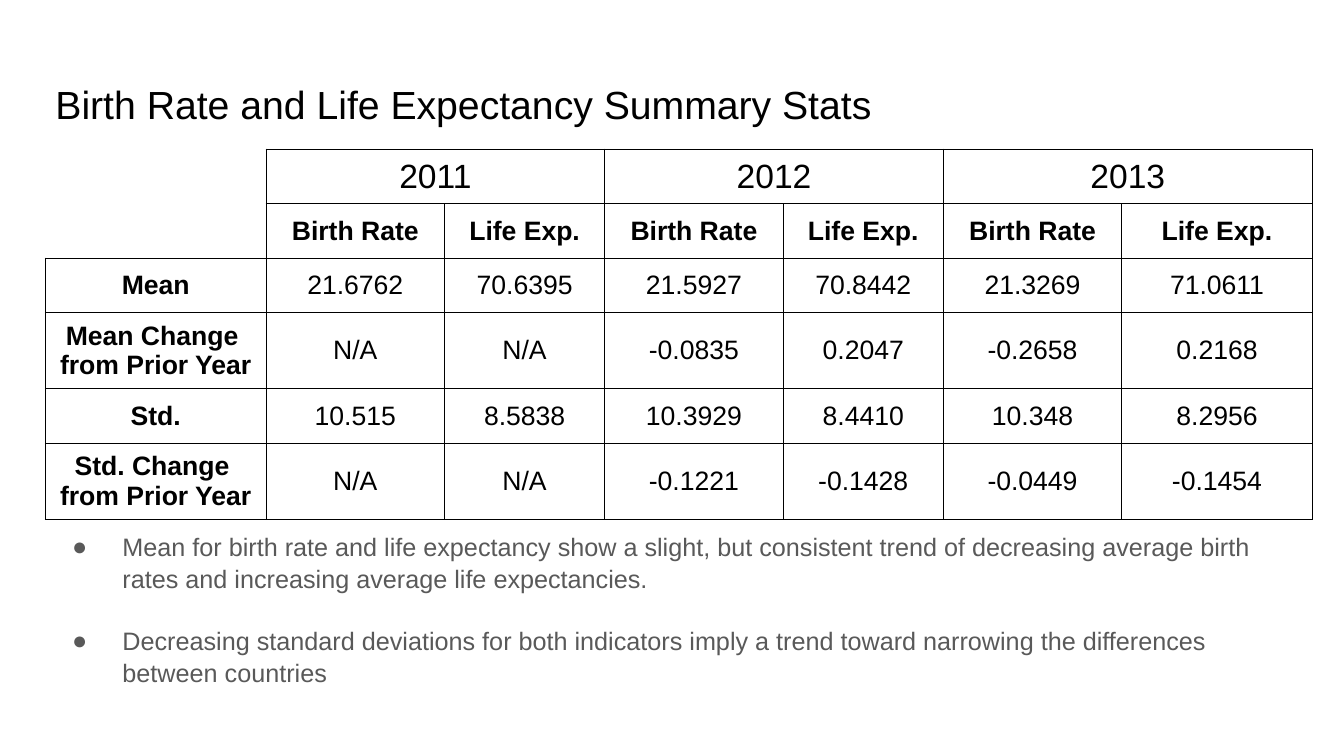
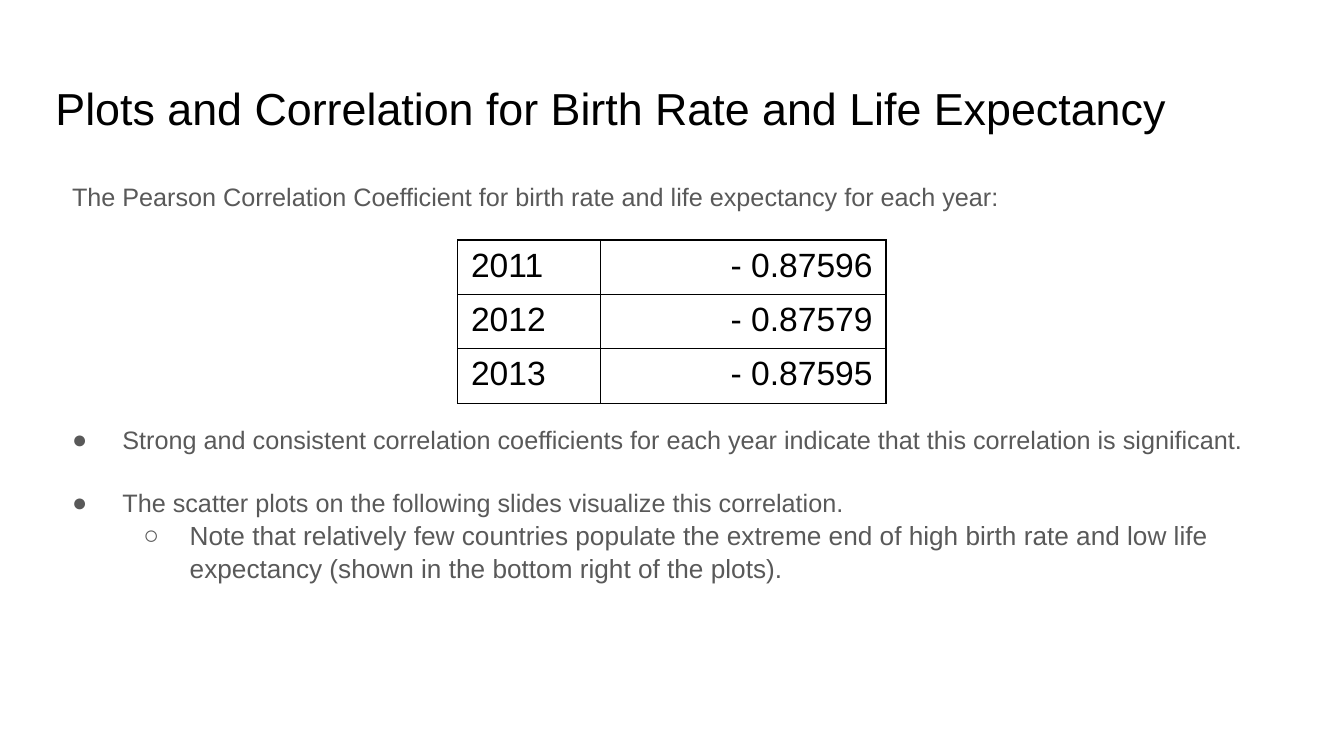
from lxml import etree
from pptx import Presentation
from pptx.dml.color import RGBColor
from pptx.enum.text import MSO_ANCHOR, MSO_AUTO_SIZE, PP_ALIGN
from pptx.oxml.ns import qn
from pptx.util import Pt

TOP, MID = MSO_ANCHOR.TOP, MSO_ANCHOR.MIDDLE
LEFT, MID_X, RIGHT = PP_ALIGN.LEFT, PP_ALIGN.CENTER, PP_ALIGN.RIGHT
FIXED = MSO_AUTO_SIZE.NONE

# Content
STATS = {
    "title": "Birth Rate and Life Expectancy Summary Stats",
    "years": ["2011", "2012", "2013"],
    "heads": ["Birth Rate", "Life Exp."],
    "rows": [
        ("Mean", "21.6762", "70.6395", "21.5927", "70.8442", "21.3269", "71.0611"),
        ("Mean Change \nfrom Prior Year",
         "N/A", "N/A", "-0.0835", "0.2047", "-0.2658", "0.2168"),
        ("Std.", "10.515", "8.5838", "10.3929", "8.4410", "10.348", "8.2956"),
        ("Std. Change \nfrom Prior Year",
         "N/A", "N/A", "-0.1221", "-0.1428", "-0.0449", "-0.1454"),
    ],
    # level, gap before, text
    "notes": [
        ("dot", 0, "Mean for birth rate and life expectancy show a slight, but "
         "consistent trend of decreasing average birth rates and increasing "
         "average life expectancies."),
        ("dot", 21.7, "Decreasing standard deviations for both indicators imply a "
         "trend toward narrowing the differences between countries"),
    ],
}
PLOTS = {
    "title": "Plots and Correlation for Birth Rate and Life Expectancy",
    "rows": [("2011", "- 0.87596"), ("2012", "- 0.87579"), ("2013", "- 0.87595")],
    "notes": [
        ("plain", 0, "The Pearson Correlation Coefficient for birth rate and life "
         "expectancy for each year:"),
        ("dot", 151.2, "Strong and consistent correlation coefficients for each "
         "year indicate that this correlation is significant."),
        ("dot", 22.5, "The scatter plots on the following slides visualize this "
         "correlation. "),
        ("ring", 0, "Note that relatively few countries populate the extreme end "
         "of high birth rate and low life expectancy (shown in the bottom right "
         "of the plots)."),
    ],
}

# Shared look
HUES = {"ink": "000000", "note": "595959", "back": "FFFFFF"}
EDGE, WIDE = 32.4, 894.2
INSET = dict.fromkeys(
    ("margin_left", "margin_right", "margin_top", "margin_bottom"), Pt(7.2))
FRAME = {**INSET, "word_wrap": True, "auto_size": FIXED, "vertical_anchor": TOP}
CELL = {"margin_left": Pt(9.6), "margin_right": Pt(9.6),
        "margin_top": Pt(4.8), "margin_bottom": Pt(4.8)}
# margin, indent, bullet, size
LEVELS = {"plain": (12, 0, None, 18), "dot": (48, -36, "\u25cf", 18),
          "ring": (96, -33, "\u25cb", 18.7)}
SIDES = {"l": "a:lnL", "r": "a:lnR", "t": "a:lnT", "b": "a:lnB"}


def apply(item, form):
    for name, value in form.items():
        setattr(item, name, value)


def ink(font, size, hue, bold=False):
    apply(font, {"name": "Arial", "size": Pt(size), "bold": bold})
    font.color.rgb = RGBColor.from_string(HUES[hue])


def add(root, tag, **attrs):
    return etree.SubElement(root, qn(tag), attrs)


def start(deck, text, size):
    slide = deck.slides.add_slide(deck.slide_layouts[5])
    title = slide.shapes.title
    apply(title, {"left": Pt(EDGE), "top": Pt(46.8),
                  "width": Pt(WIDE), "height": Pt(60.5)})
    apply(title.text_frame, FRAME)
    title.text_frame.text = text
    para = title.text_frame.paragraphs[0]
    apply(para, {"alignment": LEFT, "line_spacing": 1.1})
    ink(para.runs[0].font, size, "ink")
    return slide


def write(slide, top, high, notes):
    box = slide.shapes.add_textbox(Pt(EDGE), Pt(top), Pt(WIDE), Pt(high))
    frame = box.text_frame
    apply(frame, FRAME)
    for i, (level, gap, text) in enumerate(notes):
        para = frame.add_paragraph() if i else frame.paragraphs[0]
        edge, dent, mark, size = LEVELS[level]
        apply(para, {"text": text, "alignment": LEFT, "line_spacing": 1.05,
                     "space_before": Pt(gap)})
        ink(para.runs[0].font, size, "note")
        props = para._p.get_or_add_pPr()
        props.set("marL", str(Pt(edge)))
        props.set("indent", str(Pt(dent)))
        if mark:
            add(add(props, "a:buClr"), "a:srgbClr", val=HUES["note"])
            add(props, "a:buFont", typeface="Arial")
            add(props, "a:buChar", char=mark)
        else:
            add(props, "a:buNone")


def grid(slide, left, top, cols, rows):
    table = slide.shapes.add_table(
        len(rows), len(cols), Pt(left), Pt(top), Pt(sum(cols)), Pt(sum(rows))).table
    apply(table, {"first_row": False, "horz_banding": False})
    for col, width in zip(table.columns, cols):
        col.width = Pt(width)
    for row, high in zip(table.rows, rows):
        row.height = Pt(high)
    return table


def fill(cell, text, size, align, anchor=MID, bold=False, sides="lrtb"):
    apply(cell, {**CELL, "text": text, "vertical_anchor": anchor})
    for para in cell.text_frame.paragraphs:
        para.alignment = align
        for run in para.runs:
            ink(run.font, size, "ink", bold)
    props = cell._tc.get_or_add_tcPr()
    for side, tag in SIDES.items():
        line = add(props, tag, w=str(Pt(1)))
        if side in sides:
            add(add(line, "a:solidFill"), "a:srgbClr", val=HUES["ink"])
        else:
            add(line, "a:noFill")
    cell.fill.solid()
    cell.fill.fore_color.rgb = RGBColor.from_string(HUES["back"])


deck = Presentation()
apply(deck, {"slide_width": Pt(960), "slide_height": Pt(540)})

# Summary table: a year band over paired columns
slide = start(deck, STATS["title"], 28)
years, heads = STATS["years"], STATS["heads"]
cols = [157.7] + [127.4, 114.5] * 2 + [127.4, 136.1]
highs = [38.9, 38.9] + [54.5 if "\n" in row[0] else 38.9 for row in STATS["rows"]]
table = grid(slide, EDGE, 106.6, cols, highs)
band = [""] + [text for year in years for text in (year, "")]
lines = [band, [""] + heads * len(years)] + STATS["rows"]
for r, line in enumerate(lines):
    for c, text in enumerate(line):
        blank = c == 0 and r < 2
        fill(table.cell(r, c), text, 19 if r else 24, MID_X,
             bold=r == 1 or c == 0,
             sides=("r", "rb")[r] if blank else "lrtb")
for c in range(1, len(cols), 2):
    table.cell(0, c).merge(table.cell(0, c + 1))
write(slide, 371.5, 160, STATS["notes"])

# Correlation table between the notes
slide = start(deck, PLOTS["title"], 32)
write(slide, 121, 358.6, PLOTS["notes"])
table = grid(slide, 326.9, 171.4, [102.2, 203.8], [38.9] * len(PLOTS["rows"]))
for r, line in enumerate(PLOTS["rows"]):
    for c, text in enumerate(line):
        fill(table.cell(r, c), text, 24, (LEFT, RIGHT)[c], TOP)

deck.save("out.pptx")
